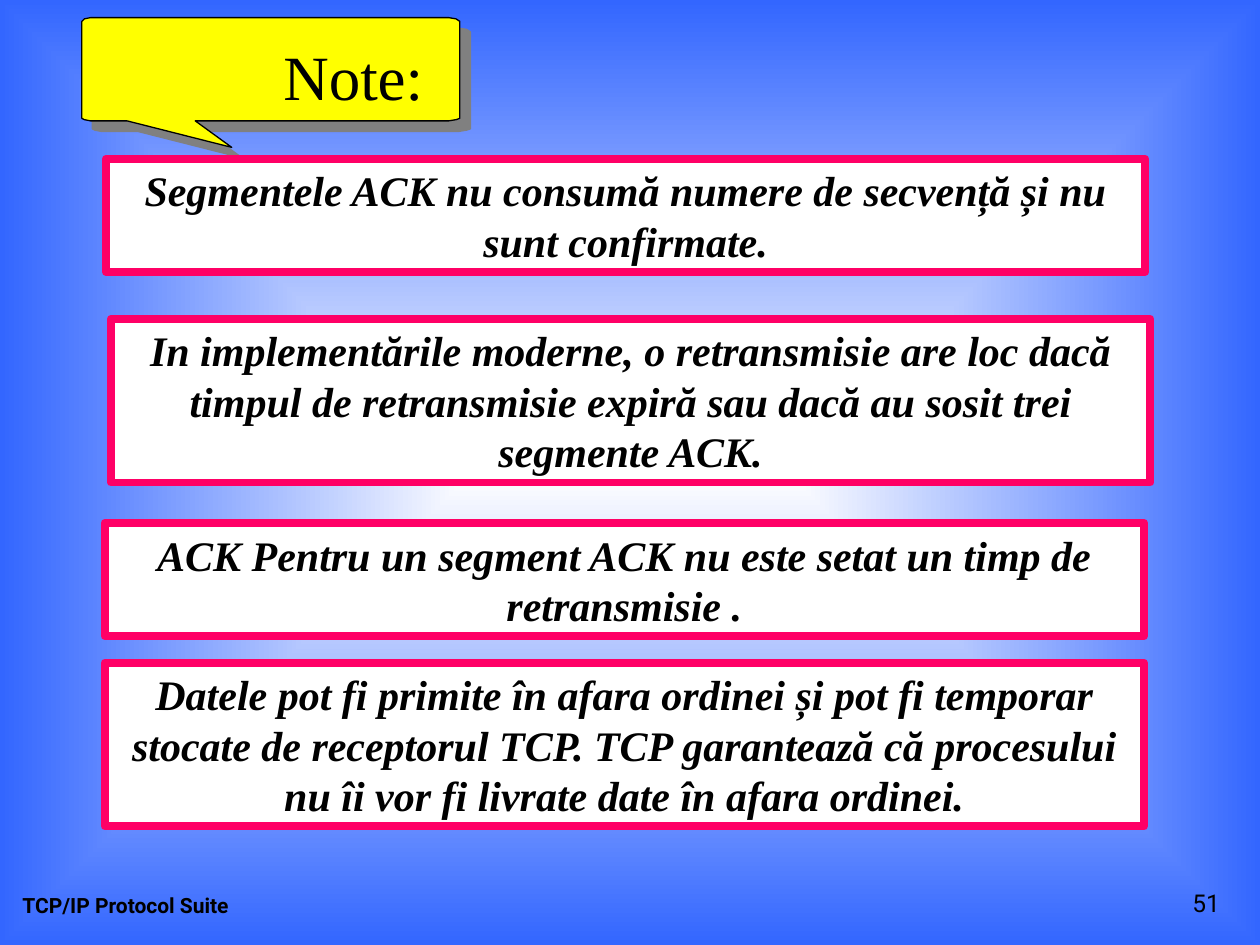
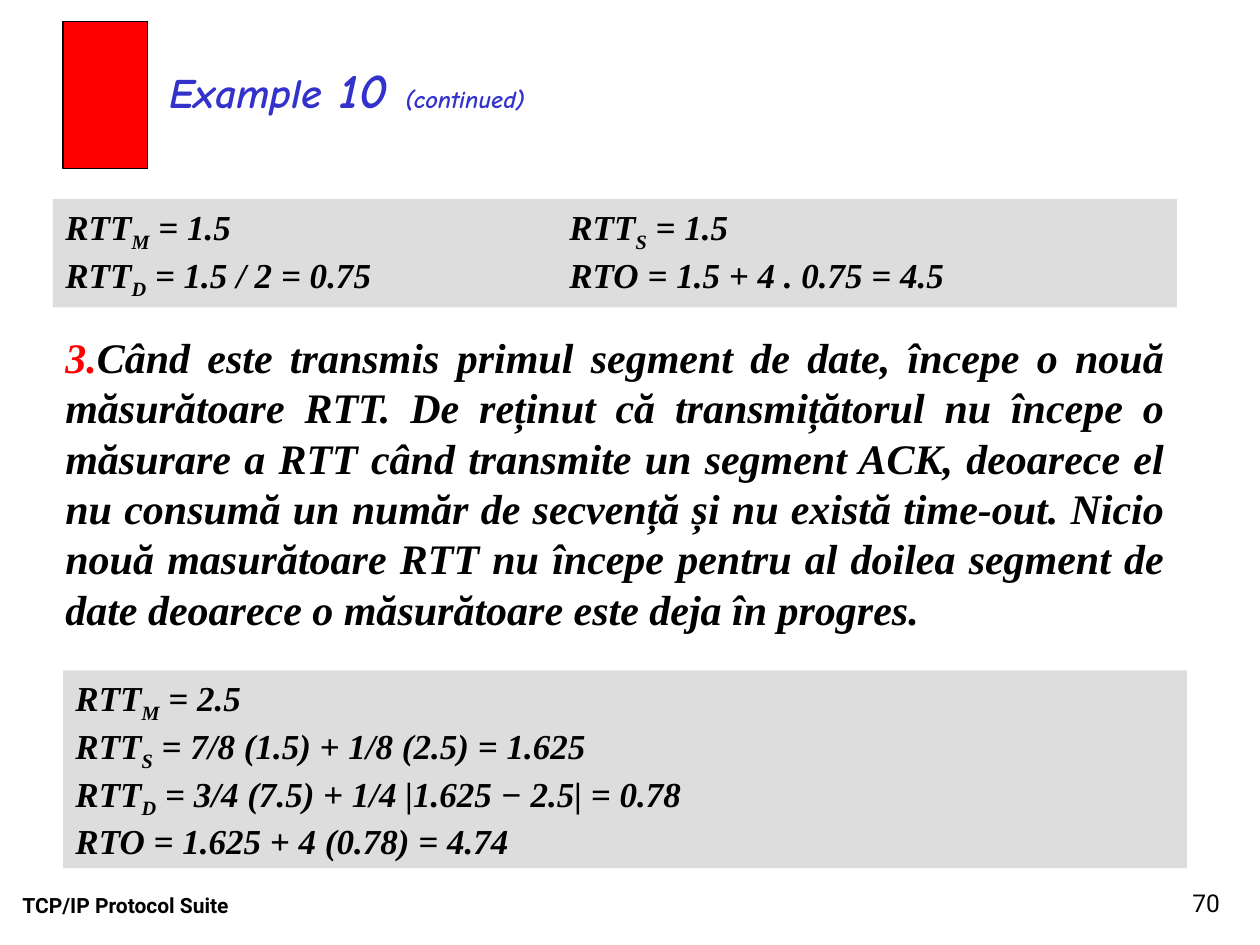
import lxml.etree
import pptx
import pptx.dml.color
import pptx.enum.shapes
import pptx.enum.text
import pptx.oxml
import pptx.oxml.ns
import pptx.util

Inches = pptx.util.Inches
Pt = pptx.util.Pt
ALIGN = pptx.enum.text.PP_ALIGN
ANCHOR = pptx.enum.text.MSO_ANCHOR
qn = pptx.oxml.ns.qn

COLORS = {"black": "000000", "white": "FFFFFF", "blue": "3366FF", "pink": "FF0066",
          "yellow": "FFFF00", "gray": "808080", "red": "FF0000", "panel": "DDDDDD",
          "title": "3333CC"}

SERIF = "Times New Roman"
STYLES = {
    "footer": {"name": "Roboto", "size": Pt(12), "bold": True},
    "number": {"name": "Roboto", "size": Pt(14)},
    "callout": {"name": SERIF, "size": Pt(36)},
    "body": {"name": SERIF, "size": Pt(24), "bold": True, "italic": True},
    "formula": {"name": SERIF, "size": Pt(20), "bold": True, "italic": True},
    "title": {"name": "Comic Neue", "size": Pt(24), "bold": True, "italic": True},
    "title_number": {"name": "Comic Neue", "size": Pt(28), "bold": True, "italic": True},
    "title_suffix": {"name": "Comic Neue", "size": Pt(14), "bold": True, "italic": True},
}

FOOTER = "TCP/IP Protocol Suite"

NOTES = [
    (0.84, 1.26, 2, "Segmentele ACK nu consumă numere de secvență și nu sunt confirmate."),
    (0.88, 2.53, 3, "In implementările moderne, o retransmisie are loc dacă timpul de "
                    "retransmisie expiră sau dacă au sosit trei segmente ACK."),
    (0.83, 4.15, 2, "ACK Pentru un segment ACK nu este setat un timp de retransmisie ."),
    (0.83, 5.26, 3, "Datele pot fi primite în afara ordinei și pot fi temporar stocate de "
                    "receptorul TCP. TCP garantează că procesului nu îi vor fi livrate "
                    "date în afara ordinei."),
]
NOTE_WIDTH = 8.25
NOTE_LINE = 0.4
NOTE_PADDING = 0.1

CALLOUT = [(0.72, 0.14), (0.67, 0.15), (0.65, 0.17), (0.65, 0.94), (0.67, 0.95),
           (0.72, 0.96), (1.01, 0.96), (1.84, 1.17), (1.55, 0.96), (3.56, 0.96),
           (3.62, 0.95), (3.65, 0.94), (3.65, 0.17), (3.62, 0.15), (3.56, 0.14)]

TITLE = [("Example", "title", "title"), (" 10 ", "title_number", "title"),
         ("(continued)", "title_suffix", "title")]

STEP = [("3.", "body", "red"),
        ("Când este transmis primul segment de date, începe o nouă măsurătoare RTT. "
         "De reținut că transmițătorul nu începe o măsurare a RTT când transmite un "
         "segment ACK, deoarece el nu consumă un număr de secvență și nu există "
         "time-out. Nicio nouă masurătoare RTT nu începe pentru al doilea segment de "
         "date deoarece o măsurătoare este deja în progres.", "body", "black")]

FORMULAS = [
    ((0.42, 1.58, 8.92, 0.86),
     ["RTT_M = 1.5\t\t\tRTT_S = 1.5",
      "RTT_D = 1.5 / 2 = 0.75\t\tRTO = 1.5 + 4 . 0.75 = 4.5"]),
    ((0.5, 5.32, 8.92, 1.57),
     ["RTT_M = 2.5",
      "RTT_S = 7/8 (1.5) + 1/8 (2.5) = 1.625",
      "RTT_D = 3/4 (7.5) + 1/4 |1.625 − 2.5| = 0.78",
      "RTO = 1.625 + 4 (0.78) = 4.74"]),
]


def color(name):
    return pptx.dml.color.RGBColor.from_string(COLORS[name])


def add_span(para, text, style, tint="black", subscript=False):
    span = para.add_run()
    span.text = text
    for attribute, value in STYLES[style].items():
        setattr(span.font, attribute, value)
    span.font.color.rgb = color(tint)
    if subscript:
        span.font._element.set("baseline", "-25000")


def prepare_text(box, align=ALIGN.LEFT, anchor=ANCHOR.TOP, wrap=True):
    frame = box.text_frame
    frame.word_wrap = wrap
    frame.vertical_anchor = anchor
    para = frame.paragraphs[0]
    para.alignment = align
    return para


def add_text(page, place, spans, **layout):
    box = page.shapes.add_textbox(*map(Inches, place))
    para = prepare_text(box, **layout)
    for span in spans:
        add_span(para, *span)


def paint(shape, fill, line=None, width=0.75):
    shape.shadow.inherit = False
    shape.fill.solid()
    shape.fill.fore_color.rgb = color(fill)
    if line:
        shape.line.color.rgb = color(line)
        shape.line.width = Pt(width)
    else:
        shape.line.fill.background()


def add_rectangle(page, place, *look):
    kind = pptx.enum.shapes.MSO_SHAPE.RECTANGLE
    box = page.shapes.add_shape(kind, *map(Inches, place))
    paint(box, *look)
    return box


def add_footer(page, number):
    add_text(page, (0.08, 6.83, 3.17, 0.5), [(FOOTER, "footer")], anchor=ANCHOR.BOTTOM)
    add_text(page, (7.7, 6.83, 2.08, 0.5), [(number, "number")],
             align=ALIGN.RIGHT, anchor=ANCHOR.BOTTOM)


def set_gradient(page):
    fill = page.background.fill
    fill.gradient()
    for stop, name in zip(fill.gradient_stops, ("white", "blue")):
        stop.color.rgb = color(name)
    gradient = next(page.element.iter(qn("a:gradFill")))
    gradient.remove(gradient.find(qn("a:lin")))
    shade = lxml.etree.SubElement(gradient, qn("a:path"), {"path": "rect"})
    sides = {side: "50000" for side in "ltrb"}
    lxml.etree.SubElement(shade, qn("a:fillToRect"), sides)


def add_callout(page):
    points = [(Inches(x), Inches(y)) for x, y in CALLOUT]
    builder = page.shapes.build_freeform(*points[0])
    builder.add_line_segments(points[1:], close=True)
    bubble = builder.convert_to_shape()
    paint(bubble, "yellow", "black")
    effects = next(bubble.element.iter(qn("a:effectLst")))
    shadow = lxml.etree.SubElement(effects, qn("a:outerShdw"), {
        "dist": str(Pt(8.5)), "dir": "2700000", "algn": "ctr", "rotWithShape": "0"})
    lxml.etree.SubElement(shadow, qn("a:srgbClr"), {"val": COLORS["gray"]})
    add_text(page, (2.15, 0.25, 1.31, 0.7), [("Note:", "callout")], wrap=False)


def add_note(page, left, top, lines, text):
    height = lines * NOTE_LINE + NOTE_PADDING
    box = add_rectangle(page, (left, top, NOTE_WIDTH, height), "white", "pink", 4.5)
    add_span(prepare_text(box, ALIGN.CENTER), text, "body")


def add_formulas(page, place, lines):
    para = prepare_text(add_rectangle(page, place, "panel"))
    tabs = lxml.etree.SubElement(para._p.get_or_add_pPr(), qn("a:tabLst"))
    for inch in range(1, 8):
        lxml.etree.SubElement(tabs, qn("a:tab"), {"pos": str(Inches(inch)), "algn": "l"})
    for index, line in enumerate(lines):
        if index:
            para.add_line_break()
        first, *rest = line.split("_")
        add_span(para, first, "formula")
        for part in rest:
            add_span(para, part[0], "formula", subscript=True)
            add_span(para, part[1:], "formula")


def build_notes(page):
    set_gradient(page)
    add_footer(page, "51")
    add_callout(page)
    for note in NOTES:
        add_note(page, *note)


def build_example(page):
    add_footer(page, "70")
    add_text(page, (1.25, 0.42, 5.58, 0.57), TITLE)
    add_rectangle(page, (0.5, 0.17, 0.67, 1.17), "red", "black")
    add_text(page, (0.42, 2.58, 8.92, 2.5), STEP, align=ALIGN.JUSTIFY)
    for place, lines in FORMULAS:
        add_formulas(page, place, lines)


def main():
    deck = pptx.Presentation()
    deck.slide_width = Inches(10)
    deck.slide_height = Inches(7.5)
    for build in (build_notes, build_example):
        build(deck.slides.add_slide(deck.slide_layouts[6]))
    deck.save("out.pptx")


if __name__ == "__main__":
    main()
